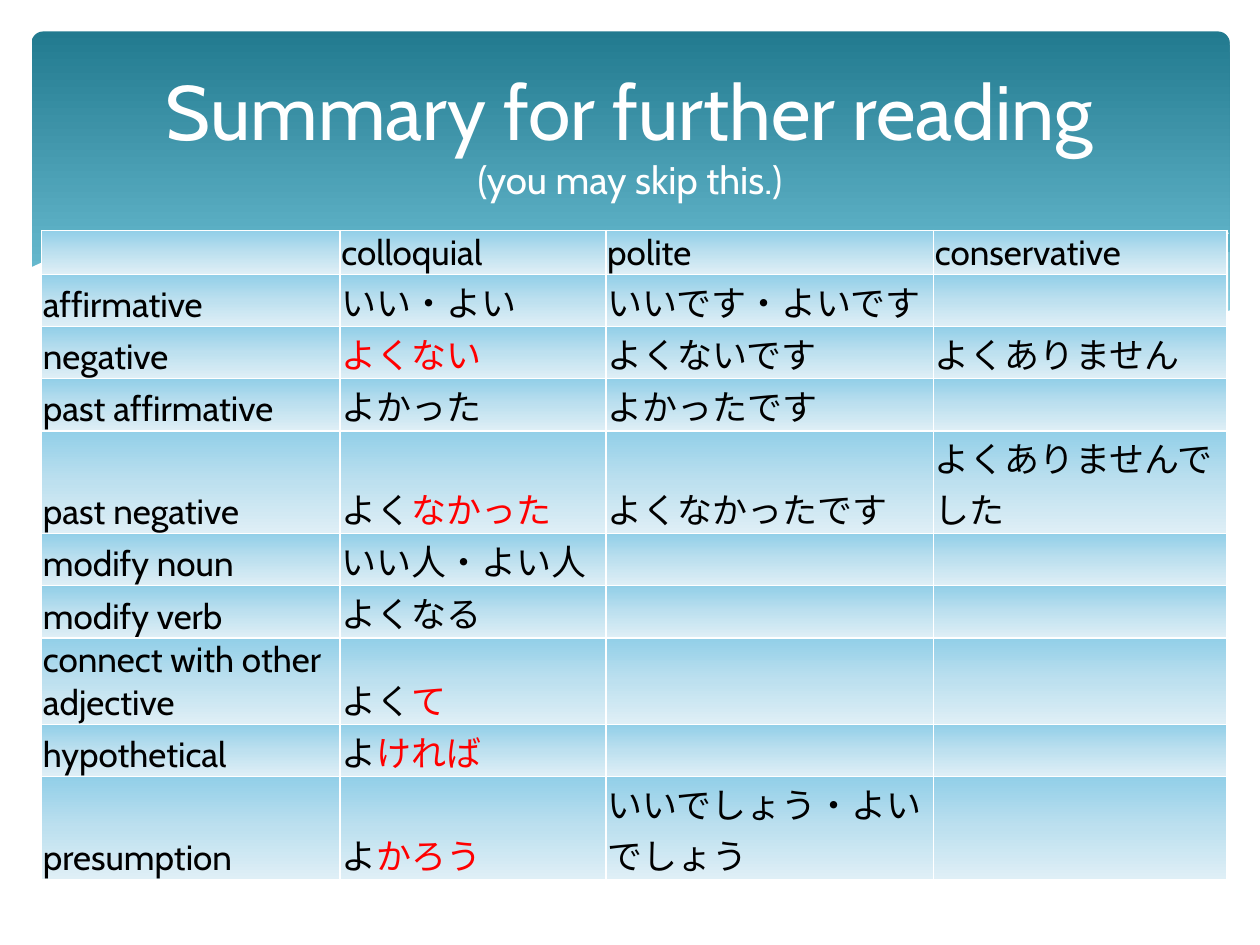
from lxml import etree
from pptx import Presentation
from pptx.dml.color import RGBColor
from pptx.enum.shapes import MSO_SHAPE
from pptx.enum.text import MSO_ANCHOR, PP_ALIGN
from pptx.oxml.ns import qn
from pptx.util import Inches, Pt

# Content: text after "|" in a table cell is highlighted
TITLE, SUBTITLE = "Summary for further reading", "(you may skip this.)"
ROWS = [
    ("", "colloquial", "polite", "conservative"),
    ("affirmative", "いい・よい", "いいです・よいです", ""),
    ("negative", "|よくない", "よくないです", "よくありません"),
    ("past affirmative", "よかった", "よかったです", ""),
    ("past negative", "よく|なかった", "よくなかったです", "よくありませんでした"),
    ("modify noun", "いい人・よい人", "", ""),
    ("modify verb", "よくなる", "", ""),
    ("connect with other adjective", "よく|て", "", ""),
    ("hypothetical", "よ|ければ", "", ""),
    ("presumption", "よ|かろう", "いいでしょう・よいでしょう", ""),
]
COLUMN_WIDTHS = (2.37, 2.11, 2.6, 2.33)
ROW_HEIGHT = 0.19

THEME = {
    "font": "Cabin", "title": Pt(44), "subtitle": Pt(22), "body": Pt(20),
    "white": "FFFFFF", "text": "000000", "accent": "FF0000", "mist": "DEF5FA",
    "banner": ((0, "227A8F"), (90, "7ACBE0")),
    "cell": ((0, "92CFE8"), (50, "BDE0EF"), (100, "DFEFF6")),
}

# Waves along the bottom of the banner: outline, fill opacity in percent
MIST_WAVES = [
    ([(9.75, 2), (9.35, 2.07), (8.91, 2.16), (8.32, 2.3), (7.53, 2.48),
      (6.61, 2.65), (7.05, 2.71), (7.57, 2.76), (8.03, 2.78), (8.54, 2.76),
      (8.97, 2.7), (9.35, 2.62), (9.76, 2.47), (9.76, 2)], 29),
    ([(8.93, 2.73), (8.37, 2.65), (7.75, 2.54), (7.06, 2.4), (6.29, 2.22),
      (5.69, 2.08), (5.14, 1.98), (4.65, 1.91), (4.2, 1.87), (3.8, 1.85),
      (3.28, 1.87), (2.86, 1.91), (3.42, 1.99), (4.04, 2.11), (4.91, 2.32),
      (5.66, 2.48), (6.34, 2.61), (6.95, 2.7), (7.48, 2.76), (8.07, 2.78),
      (8.57, 2.77), (8.93, 2.73)], 40),
]
LINE_WAVES = [
    [(3.09, 1.95), (3.44, 1.9), (3.87, 1.87), (4.33, 1.87), (4.89, 1.9),
     (5.56, 1.97), (6.36, 2.08), (7.27, 2.26), (8.31, 2.51), (9.07, 2.72)],
    [(6.13, 2.57), (6.72, 2.41), (7.48, 2.23), (8.06, 2.1), (8.66, 1.99),
     (9.1, 1.92), (9.51, 1.87), (9.75, 1.85)],
]
WHITE_WAVE = [
    (9.77, 2.46), (9.5, 2.56), (9.1, 2.67), (8.63, 2.74), (8.09, 2.77),
    (7.44, 2.74), (6.68, 2.65), (5.79, 2.5), (5.03, 2.33), (4.18, 2.13),
    (3.4, 1.97), (2.71, 1.88), (2.11, 1.84), (1.61, 1.84), (1.19, 1.87),
    (0.85, 1.93), (0.52, 2.01), (0.36, 2.07), (0.23, 2.13), (0.23, 3.29),
    (9.77, 3.29)]


def color(name):
    return RGBColor.from_string(THEME[name])


def fill_gradient(fill, owner, stops):
    """Vertical gradient with any number of stops."""
    fill.gradient()
    fill.gradient_angle = 270
    stop_list = owner.find(".//" + qn("a:gsLst"))
    for old_stop in list(stop_list):
        stop_list.remove(old_stop)
    for percent, value in stops:
        stop = etree.SubElement(stop_list, qn("a:gs"), pos=str(percent * 1000))
        etree.SubElement(stop, qn("a:srgbClr"), val=value)


def add_wave(page, points, fill=None, opacity=100):
    """Filled closed wave, or an open hairline when no fill is given."""
    start, *rest = [(Inches(x), Inches(y)) for x, y in points]
    builder = page.shapes.build_freeform(*start)
    builder.add_line_segments(rest, close=fill is not None)
    wave = builder.convert_to_shape()
    wave.shadow.inherit = False
    if fill is None:
        wave.fill.background()
        wave.line.color.rgb = color("white")
        wave.line.width = Pt(0)
        return
    wave.line.fill.background()
    wave.fill.solid()
    wave.fill.fore_color.rgb = color(fill)
    if opacity < 100:
        value = wave.element.spPr.find(qn("a:solidFill") + "/" + qn("a:srgbClr"))
        etree.SubElement(value, qn("a:alpha"), val=str(opacity * 1000))


def set_borders(properties):
    for index, side in enumerate(("lnL", "lnR", "lnT", "lnB")):
        border = etree.Element(qn("a:" + side), w=str(Pt(1)))
        paint = etree.SubElement(border, qn("a:solidFill"))
        etree.SubElement(paint, qn("a:srgbClr"), val=THEME["white"])
        properties.insert(index, border)


def fill_cell(cell, text):
    cell.vertical_anchor = MSO_ANCHOR.BOTTOM
    cell.margin_left = cell.margin_right = cell.margin_top = Inches(0.01)
    cell.margin_bottom = 0
    properties = cell._tc.get_or_add_tcPr()
    fill_gradient(cell.fill, properties, THEME["cell"])
    set_borders(properties)
    para = cell.text_frame.paragraphs[0]
    para.font.name, para.font.size = THEME["font"], THEME["body"]
    para.font.color.rgb = color("text")
    plain, _, marked = text.partition("|")
    for part, part_color in ((plain, "text"), (marked, "accent")):
        if part:
            span = para.add_run()
            span.text = part
            span.font.color.rgb = color(part_color)


def add_banner(page):
    banner = page.shapes.add_shape(MSO_SHAPE.ROUNDED_RECTANGLE, Inches(0.25),
                                   Inches(0.25), Inches(9.51), Inches(2.7))
    banner.adjustments[0] = 0.034
    banner.shadow.inherit = False
    banner.line.fill.background()
    fill_gradient(banner.fill, banner.element.spPr, THEME["banner"])
    for points, opacity in MIST_WAVES:
        add_wave(page, points, "mist", opacity)
    for points in LINE_WAVES:
        add_wave(page, points)
    add_wave(page, WHITE_WAVE, "white")


def add_summary(page):
    frame = page.shapes.add_table(
        len(ROWS), len(COLUMN_WIDTHS), Inches(0.33), Inches(1.83),
        Inches(sum(COLUMN_WIDTHS)), Inches(ROW_HEIGHT * len(ROWS)))
    table = frame.table
    table.first_row = table.horz_banding = False
    for column, width in zip(table.columns, COLUMN_WIDTHS):
        column.width = Inches(width)
    for row, texts in zip(table.rows, ROWS):
        row.height = Inches(ROW_HEIGHT)
        for cell, text in zip(row.cells, texts):
            fill_cell(cell, text)


def add_title(page):
    box = page.shapes.add_textbox(Inches(0.5), Inches(0.37), Inches(9), Inches(1.37))
    box.text_frame.word_wrap = True
    box.text_frame.vertical_anchor = MSO_ANCHOR.MIDDLE
    para = box.text_frame.paragraphs[0]
    para.alignment = PP_ALIGN.CENTER
    para.font.name = THEME["font"]
    para.font.color.rgb = color("white")
    heading = para.add_run()
    heading.text, heading.font.size = TITLE, THEME["title"]
    para.add_line_break()
    remark = para.add_run()
    remark.text, remark.font.size = SUBTITLE, THEME["subtitle"]


def main():
    deck = Presentation()
    deck.slide_width, deck.slide_height = Inches(10), Inches(7.5)
    page = deck.slides.add_slide(deck.slide_layouts[6])
    add_banner(page)
    add_summary(page)
    add_title(page)
    deck.save("out.pptx")


if __name__ == "__main__":
    main()
